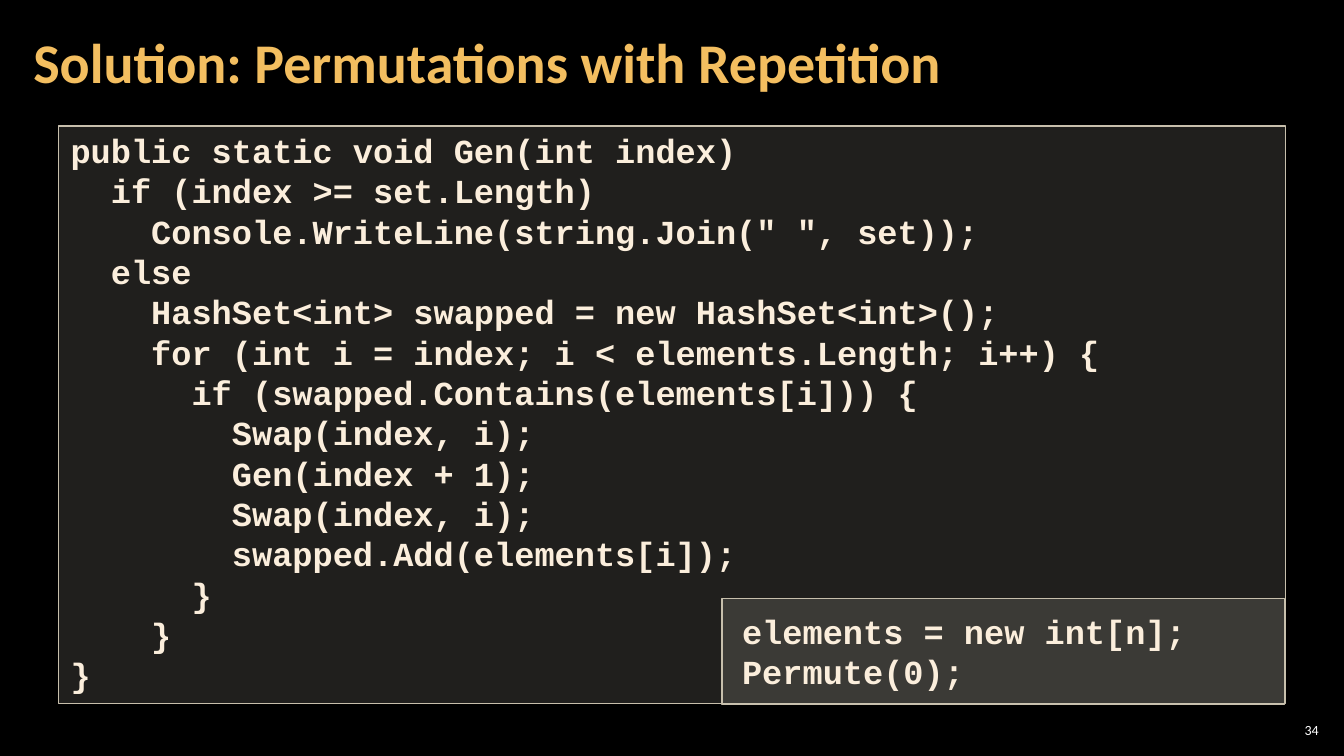
from dataclasses import dataclass

from lxml import etree
from pptx import Presentation
from pptx.dml.color import RGBColor
from pptx.enum.shapes import MSO_SHAPE
from pptx.enum.text import MSO_ANCHOR, PP_ALIGN
from pptx.oxml.ns import qn
from pptx.util import Inches, Pt

RECTANGLE = MSO_SHAPE.RECTANGLE
TOP, MIDDLE = MSO_ANCHOR.TOP, MSO_ANCHOR.MIDDLE
LEFT, RIGHT = PP_ALIGN.LEFT, PP_ALIGN.RIGHT

BLACK = RGBColor(0x00, 0x00, 0x00)
WHITE = RGBColor(0xFF, 0xFF, 0xFF)
GOLD = RGBColor(0xF3, 0xBE, 0x60)
CREAM = RGBColor(0xFB, 0xEE, 0xDC)
PANEL = RGBColor(0xD9, 0xD5, 0xC7)
BORDER = RGBColor(0xC7, 0xBF, 0xAC)
PANEL_OPACITY = 15

GEN_METHOD = """public static void Gen(int index)
  if (index >= set.Length)
    Console.WriteLine(string.Join(" ", set));
  else
    HashSet<int> swapped = new HashSet<int>();
    for (int i = index; i < elements.Length; i++) {
      if (swapped.Contains(elements[i])) {
        Swap(index, i);
        Gen(index + 1);
        Swap(index, i);
        swapped.Add(elements[i]);
      }
    }
}"""
GEN_CALL = """elements = new int[n];
Permute(0);"""


@dataclass(frozen=True)
class CodePanel:
    code: str
    left: float
    top: float
    width: float
    height: float
    inset_x: float
    inset_y: float


CODE_PANELS = (
    CodePanel(GEN_METHOD, 0.58, 1.25, 12.17, 5.73, 0.12, 0.04),
    CodePanel(GEN_CALL, 7.16, 5.94, 5.58, 1.05, 0.2, 0.12),
)


def place(shape, left: float, top: float, width: float, height: float) -> None:
    shape.left, shape.top = Inches(left), Inches(top)
    shape.width, shape.height = Inches(width), Inches(height)


def set_frame(frame, inset_x: float, inset_y: float, anchor) -> None:
    frame.margin_left = frame.margin_right = Inches(inset_x)
    frame.margin_top = frame.margin_bottom = Inches(inset_y)
    frame.vertical_anchor = anchor
    frame.word_wrap = True


def format_text(frame, font_name: str, size: int, color: RGBColor,
                bold: bool, align, spacing: float = 1.0) -> None:
    for paragraph in frame.paragraphs:
        paragraph.alignment = align
        paragraph.line_spacing = spacing
        for run in paragraph.runs:
            run.font.name = font_name
            run.font.size = Pt(size)
            run.font.bold = bold
            run.font.color.rgb = color


def add_code_panel(slide, panel: CodePanel) -> None:
    box = slide.shapes.add_shape(
        RECTANGLE, Inches(panel.left), Inches(panel.top),
        Inches(panel.width), Inches(panel.height))
    box.shadow.inherit = False
    box.fill.solid()
    box.fill.fore_color.rgb = PANEL
    color = box.fill._xPr.find(qn("a:solidFill")).find(qn("a:srgbClr"))
    etree.SubElement(color, qn("a:alpha"), val=str(PANEL_OPACITY * 1000))
    box.line.color.rgb = BORDER
    box.line.width = Pt(1)
    frame = box.text_frame
    frame.text = panel.code
    set_frame(frame, panel.inset_x, panel.inset_y, TOP)
    format_text(frame, "Courier New", 24, CREAM, True, LEFT)


def main() -> None:
    deck = Presentation()
    deck.slide_width, deck.slide_height = Inches(13.33), Inches(7.5)
    slide = deck.slides.add_slide(deck.slide_layouts[5])
    slide.background.fill.solid()
    slide.background.fill.fore_color.rgb = BLACK

    # Title
    title = slide.shapes.title
    place(title, 0.21, 0.04, 10.47, 1.21)
    title.text_frame.text = "Solution: Permutations with Repetition"
    set_frame(title.text_frame, 0.12, 0.04, MIDDLE)
    format_text(title.text_frame, "Calibri", 40, GOLD, True, LEFT, 0.9)

    # Code: the method, then the call that starts it
    for panel in CODE_PANELS:
        add_code_panel(slide, panel)

    # Page number
    page_number = slide.shapes.add_textbox(
        Inches(12.65), Inches(7.14), Inches(0.47), Inches(0.21))
    page_number.text_frame.text = "34"
    set_frame(page_number.text_frame, 0.04, 0.04, MIDDLE)
    format_text(page_number.text_frame, "Calibri", 10, WHITE, False, RIGHT)

    deck.save("out.pptx")


if __name__ == "__main__":
    main()
